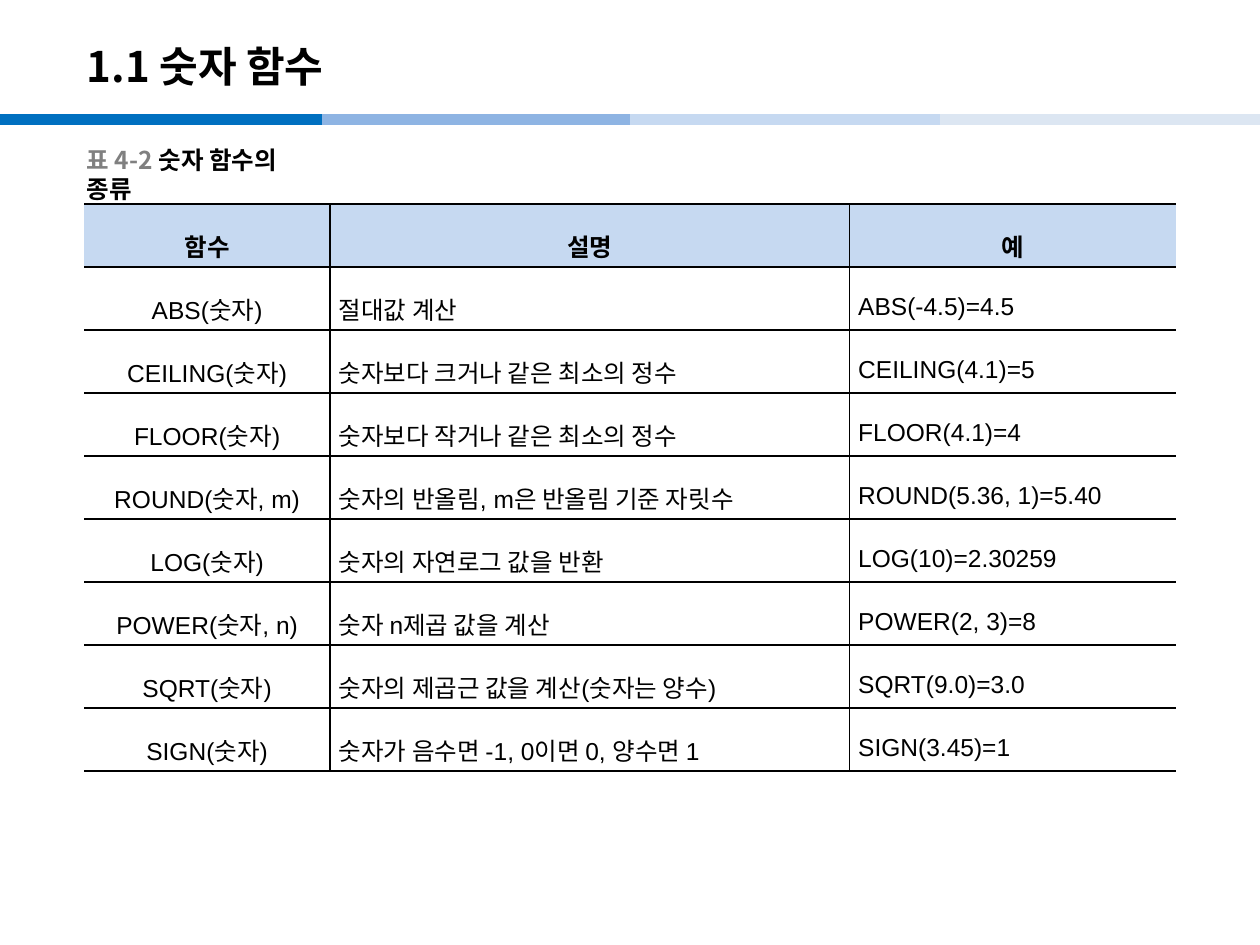
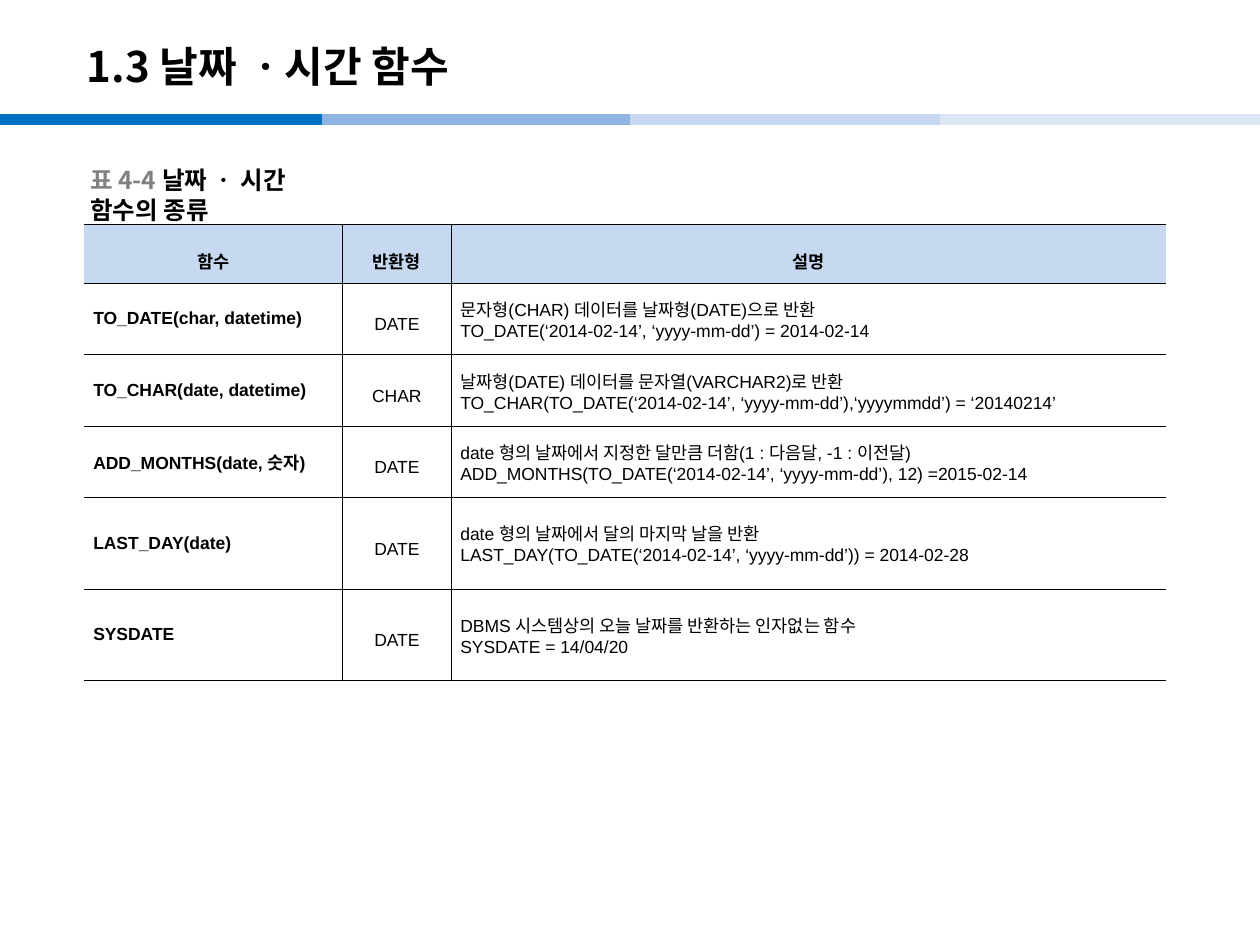
from dataclasses import dataclass

from lxml.etree import SubElement
from pptx import Presentation
from pptx.dml.color import RGBColor
from pptx.enum.shapes import MSO_CONNECTOR
from pptx.enum.text import MSO_ANCHOR, MSO_AUTO_SIZE, PP_ALIGN
from pptx.oxml.ns import qn
from pptx.util import Cm, Pt


@dataclass(frozen=True)
class Theme:
    black: str = "000000"
    grey: str = "808080"
    header: str = "C6D9F1"
    white: str = "FFFFFF"
    bands: tuple = ("0070C0", "8EB4E3", "C6D9F1", "DCE6F2")
    heading_font: str = "Noto Sans CJK KR"
    table_font: str = "Arial"
    title_size: int = 24
    caption_size: int = 14
    large_cell_size: int = 14
    small_cell_size: int = 10


THEME = Theme()
PAGE_WIDTH = 25.4
BAND_STARTS = (0, 6.5, 12.7, 18.95)
BAND_LENGTH = 6.5
BAND_TOP = 2.41
TABLE_LEFT = 1.7

# Paragraph formats of table cells
CENTERED = {"alignment": PP_ALIGN.CENTER, "line_spacing": 1.6}
JUSTIFIED = {"alignment": PP_ALIGN.JUSTIFY, "line_spacing": 1.6}
PLAIN = {"alignment": PP_ALIGN.LEFT}

NUMBER_ROWS = [
    ("함수", "설명", "예"),
    ("ABS(숫자)", "절대값 계산", "ABS(-4.5)=4.5"),
    ("CEILING(숫자)", "숫자보다 크거나 같은 최소의 정수", "CEILING(4.1)=5"),
    ("FLOOR(숫자)", "숫자보다 작거나 같은 최소의 정수", "FLOOR(4.1)=4"),
    ("ROUND(숫자, m)", "숫자의 반올림, m은 반올림 기준 자릿수", "ROUND(5.36, 1)=5.40"),
    ("LOG(숫자)", "숫자의 자연로그 값을 반환", "LOG(10)=2.30259"),
    ("POWER(숫자, n)", "숫자 n제곱 값을 계산", "POWER(2, 3)=8"),
    ("SQRT(숫자)", "숫자의 제곱근 값을 계산(숫자는 양수)", "SQRT(9.0)=3.0"),
    ("SIGN(숫자)", "숫자가 음수면 -1, 0이면 0, 양수면 1", "SIGN(3.45)=1"),
]

DATE_ROWS = [
    ("함수", "반환형", "설명"),
    ("TO_DATE(char, datetime)", "DATE",
     "문자형(CHAR) 데이터를 날짜형(DATE)으로 반환\n"
     "TO_DATE(‘2014-02-14’, ‘yyyy-mm-dd’) = 2014-02-14"),
    ("TO_CHAR(date, datetime)", "CHAR",
     "날짜형(DATE) 데이터를 문자열(VARCHAR2)로 반환\n"
     "TO_CHAR(TO_DATE(‘2014-02-14’, ‘yyyy-mm-dd’),‘yyyymmdd’) = ‘20140214’"),
    ("ADD_MONTHS(date, 숫자)", "DATE",
     "date 형의 날짜에서 지정한 달만큼 더함(1 : 다음달, -1 : 이전달)\n"
     "ADD_MONTHS(TO_DATE(‘2014-02-14’, ‘yyyy-mm-dd’), 12) =2015-02-14"),
    ("LAST_DAY(date)", "DATE",
     "date 형의 날짜에서 달의 마지막 날을 반환\n"
     "LAST_DAY(TO_DATE(‘2014-02-14’, ‘yyyy-mm-dd’)) = 2014-02-28"),
    ("SYSDATE", "DATE",
     "DBMS 시스템상의 오늘 날짜를 반환하는 인자없는 함수\n"
     "SYSDATE = 14/04/20"),
]


def apply_format(target, values):
    for name, value in values.items():
        setattr(target, name, value)


def add_span(para, text, font, size, bold=True, color=THEME.black):
    span = para.add_run()
    span.text = text
    apply_format(span.font, {"name": font, "size": Pt(size), "bold": bold})
    span.font.color.rgb = RGBColor.from_string(color)
    SubElement(span.font._element, qn("a:ea"), typeface=THEME.heading_font)


def add_bands(page):
    for start, color in zip(BAND_STARTS, THEME.bands):
        end = min(start + BAND_LENGTH, PAGE_WIDTH)
        band = page.shapes.add_connector(
            MSO_CONNECTOR.STRAIGHT, Cm(start), Cm(BAND_TOP), Cm(end), Cm(BAND_TOP))
        band.line.width = Pt(6)
        band.line.color.rgb = RGBColor.from_string(color)
        SubElement(band._element.spPr, qn("a:effectLst"))


def add_text_box(page, left, top, width, height, **frame_format):
    """Add a middle-anchored text box and return its first paragraph."""
    box = page.shapes.add_textbox(Cm(left), Cm(top), Cm(width), Cm(height))
    apply_format(box.text_frame, {"vertical_anchor": MSO_ANCHOR.MIDDLE, **frame_format})
    return box.text_frame.paragraphs[0]


def add_page(deck, title):
    page = deck.slides.add_slide(deck.slide_layouts[6])
    add_bands(page)
    para = add_text_box(page, 1.5, 0.56, 21, 1.52, word_wrap=True)
    add_span(para, title, THEME.heading_font, THEME.title_size)
    return page


def add_caption(page, left, top, number, text):
    para = add_text_box(page, left, top, 5.3, 0.79, word_wrap=False,
                        auto_size=MSO_AUTO_SIZE.SHAPE_TO_FIT_TEXT)
    for words, color in ((number + " ", THEME.grey), (text, THEME.black)):
        add_span(para, words, THEME.heading_font, THEME.caption_size, color=color)


def set_borders(cell, width, open_sides):
    """Draw black cell borders, leaving out the open sides."""
    properties = cell._tc.get_or_add_tcPr()
    for index, side in enumerate(("lnL", "lnR", "lnT", "lnB")):
        edge = properties.makeelement(qn(f"a:{side}"), {"w": str(Pt(width))})
        properties.insert(index, edge)
        if side in open_sides:
            SubElement(edge, qn("a:noFill"))
        else:
            fill = SubElement(edge, qn("a:solidFill"))
            SubElement(fill, qn("a:srgbClr"), val=THEME.black)


def fill_cell(cell, text, color, para_format, size, bold):
    apply_format(cell, {
        "margin_left": Cm(0.18), "margin_right": Cm(0.18),
        "margin_top": Cm(0.05), "margin_bottom": Cm(0.05),
        "vertical_anchor": MSO_ANCHOR.MIDDLE})
    if color:
        cell.fill.solid()
        cell.fill.fore_color.rgb = RGBColor.from_string(color)
    else:
        cell.fill.background()
    frame = cell.text_frame
    for index, line in enumerate(text.split("\n")):
        para = frame.add_paragraph() if index else frame.paragraphs[0]
        apply_format(para, para_format)
        add_span(para, line, THEME.table_font, size, bold)


def add_function_table(page, top, rows, widths, heights, size, border,
                       body_formats, body_fill=None, bold_column=None):
    frame = page.shapes.add_table(
        len(rows), len(widths), Cm(TABLE_LEFT), Cm(top), Cm(sum(widths)), Cm(sum(heights)))
    table = frame.table
    table.horz_banding = False
    for column, width in zip(table.columns, widths):
        column.width = Cm(width)
    for row, height in zip(table.rows, heights):
        row.height = Cm(height)
    last = len(widths) - 1
    for r, texts in enumerate(rows):
        is_header = r == 0
        for c, text in enumerate(texts):
            cell = table.cell(r, c)
            fill_cell(cell, text,
                      THEME.header if is_header else body_fill,
                      CENTERED if is_header else body_formats[c],
                      size, is_header or c == bold_column)
            set_borders(cell, border, {0: ("lnL",), last: ("lnR",)}.get(c, ()))


def add_number_functions(deck):
    page = add_page(deck, "1.1 숫자 함수")
    add_function_table(
        page, 4.11, NUMBER_ROWS, (4.95, 10.47, 6.58), [1.27] * len(NUMBER_ROWS),
        THEME.large_cell_size, 1, (CENTERED, JUSTIFIED, JUSTIFIED), body_fill=THEME.white)
    add_caption(page, 1.5, 3.12, "표 4-2", "숫자 함수의 종류")


def add_date_functions(deck):
    page = add_page(deck, "1.3 날짜 ㆍ시간 함수")
    add_function_table(
        page, 4.52, DATE_ROWS, (5.2, 2.2, 14.4), [1.19] + [1.44] * 3 + [1.84] * 2,
        THEME.small_cell_size, 0.28, (PLAIN, CENTERED, PLAIN), bold_column=0)
    add_caption(page, 1.57, 3.53, "표 4-4", "날짜 ㆍ 시간 함수의 종류")


def main():
    deck = Presentation()
    apply_format(deck, {"slide_width": Cm(PAGE_WIDTH), "slide_height": Cm(19.05)})
    add_number_functions(deck)
    add_date_functions(deck)
    deck.save("out.pptx")


if __name__ == "__main__":
    main()
